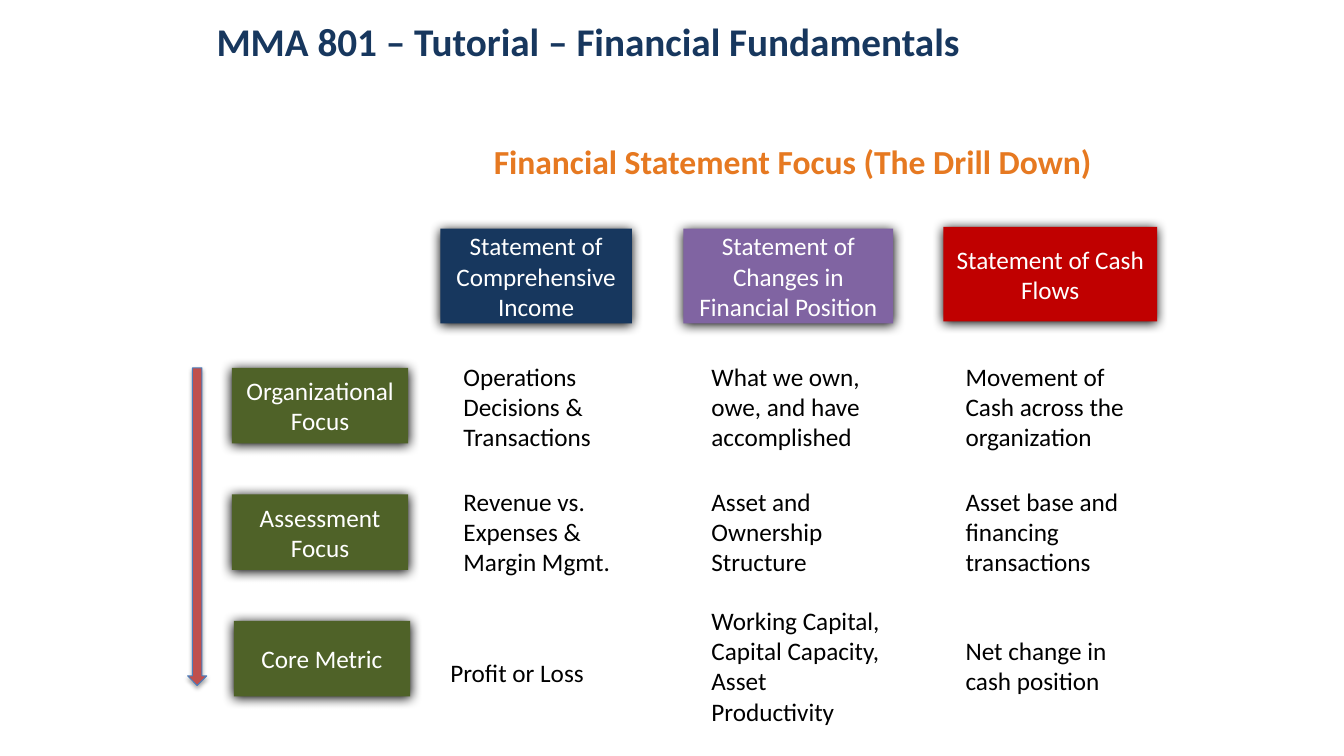
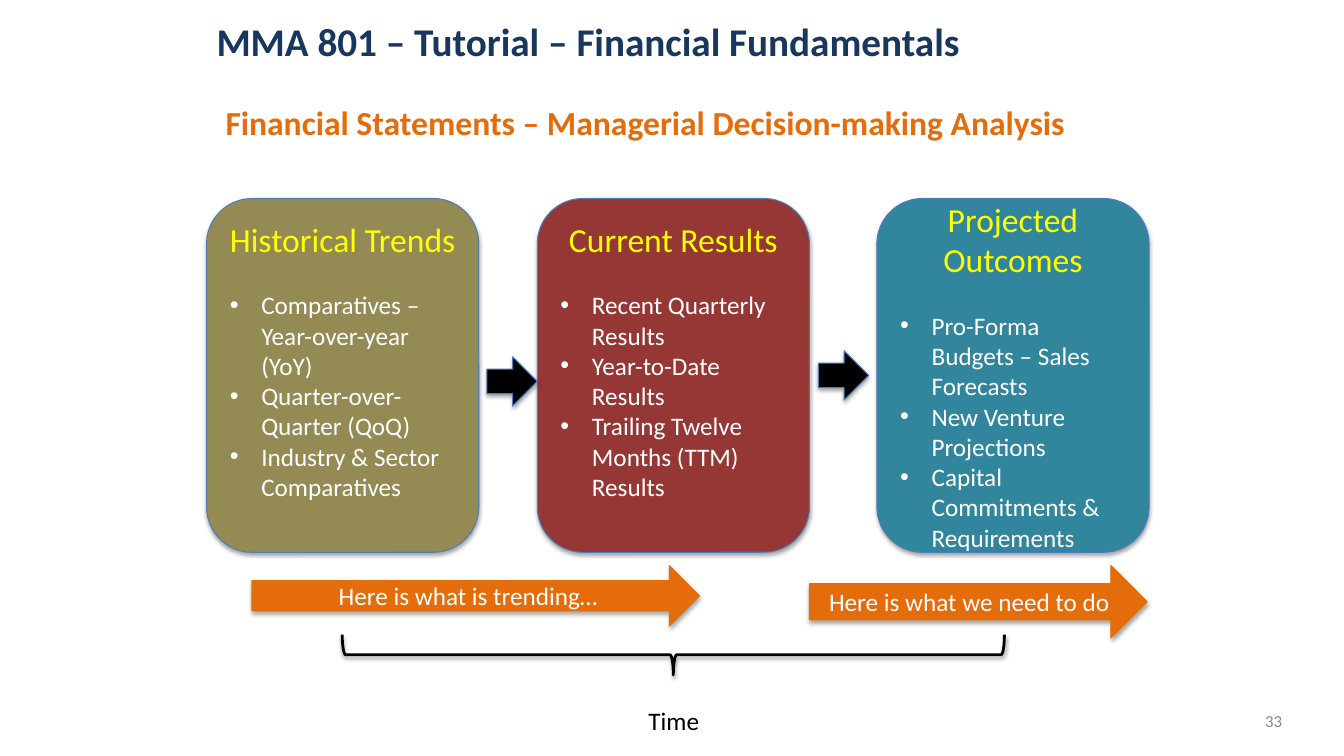
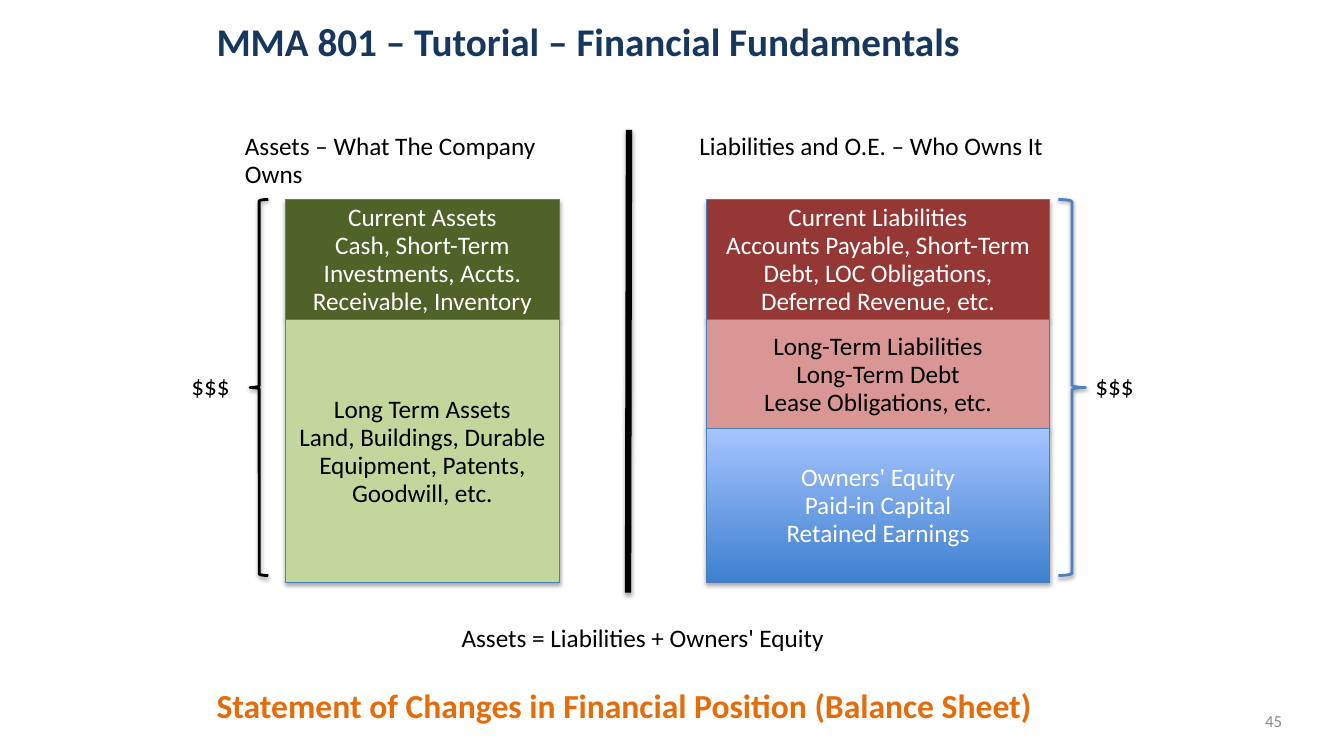
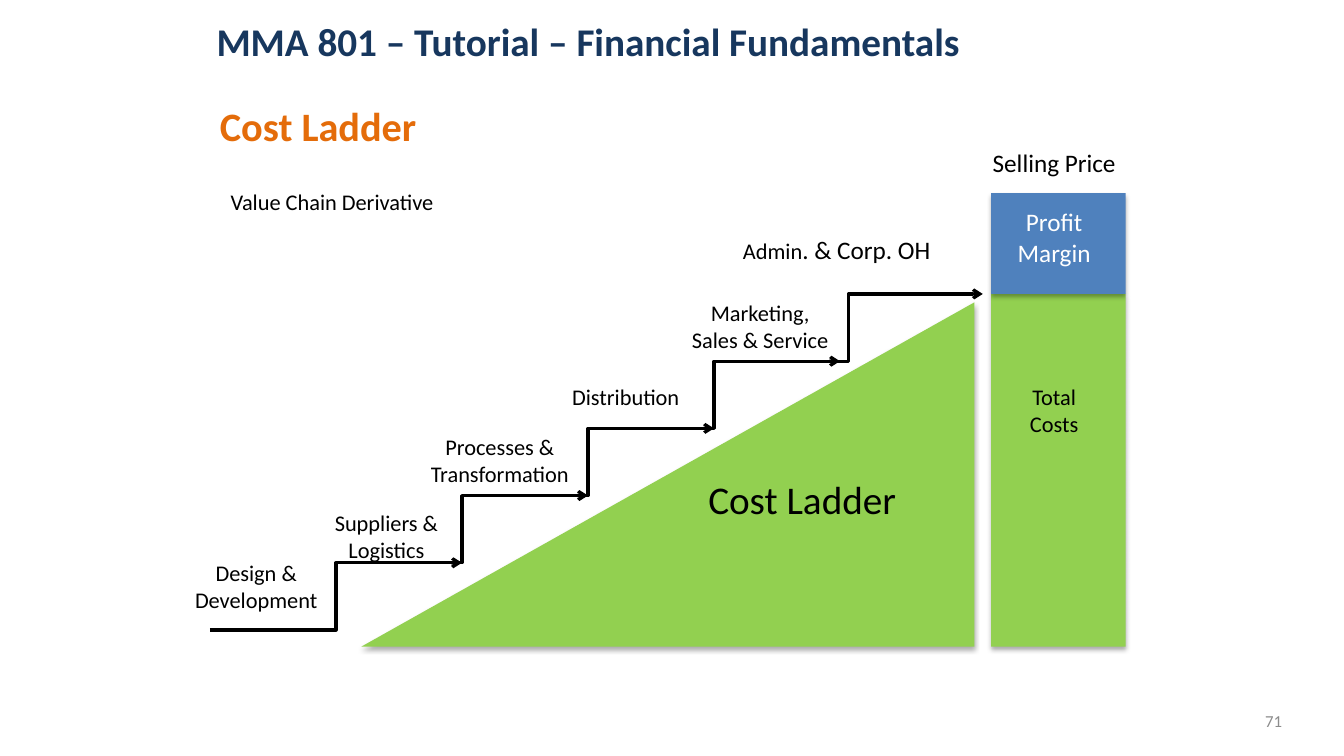
from typing import NamedTuple

from lxml.etree import SubElement
from pptx import Presentation
from pptx.dml.color import RGBColor
from pptx.enum.shapes import MSO_CONNECTOR, MSO_SHAPE
from pptx.enum.text import MSO_ANCHOR, PP_ALIGN
from pptx.oxml.ns import qn
from pptx.util import Pt

FONT = "Calibri"
NAVY = RGBColor(0x17, 0x37, 0x5E)
AMBER = RGBColor(0xE6, 0x79, 0x21)
ORANGE = RGBColor(0xE4, 0x6C, 0x0A)
PURPLE = RGBColor(0x80, 0x64, 0xA2)
RED = RGBColor(0xC0, 0x00, 0x00)
CORAL = RGBColor(0xC0, 0x50, 0x4D)
MAROON = RGBColor(0x95, 0x37, 0x35)
ROSE = RGBColor(0xD9, 0x96, 0x94)
OLIVE = RGBColor(0x4F, 0x62, 0x28)
SAGE = RGBColor(0xC3, 0xD6, 0x9B)
LIME = RGBColor(0x92, 0xD0, 0x50)
KHAKI = RGBColor(0x94, 0x8A, 0x54)
TEAL = RGBColor(0x31, 0x85, 0x9C)
BLUE = RGBColor(0x4F, 0x81, 0xBD)
EDGE = RGBColor(0x4B, 0x7E, 0xBC)
DEEP_SKY = RGBColor(0x3F, 0x80, 0xCE)
PALE_SKY = RGBColor(0xA4, 0xC4, 0xFF)
YELLOW = RGBColor(0xFF, 0xFF, 0x00)
GRAY = RGBColor(0x8C, 0x8C, 0x8C)
BLACK = RGBColor(0, 0, 0)
WHITE = RGBColor(0xFF, 0xFF, 0xFF)


class Shadow(NamedTuple):
    opacity: int
    blur: float
    distance: float


GLOW = Shadow(100, 8.5, 1)
SOFT = Shadow(35, 3.1, 1.8)
THIN = Shadow(38, 3.1, 1.6)
DROP = Shadow(32, 3.5, 2.2)


class Box(NamedTuple):
    left: float
    top: float
    width: float
    height: float

    def inner(self, dx, dy, width, height):
        return Box(self.left + dx, self.top + dy, width, height)

    def lengths(self):
        return [Pt(value) for value in self]


def cast_shadow(effects, shadow):
    outer = SubElement(effects, qn("a:outerShdw"), blurRad=str(Pt(shadow.blur)),
                       dist=str(Pt(shadow.distance)), dir="5400000", rotWithShape="0")
    tint = SubElement(outer, qn("a:srgbClr"), val="000000")
    SubElement(tint, qn("a:alpha"), val=str(shadow.opacity * 1000))


def write(frame, text, size=18, color=BLACK, bold=False, align=PP_ALIGN.LEFT,
          leading=None, before=0, bullet=False, same_line=False):
    frame.word_wrap = True
    for line in text.split("\n"):
        paragraph = frame.paragraphs[-1]
        if paragraph.runs and not same_line:
            paragraph = frame.add_paragraph()
        if bullet:
            properties = paragraph._p.get_or_add_pPr()
            properties.set("marL", str(Pt(22.5)))
            properties.set("indent", str(-Pt(22.5)))
            SubElement(properties, qn("a:buFont"), typeface="Arial")
            SubElement(properties, qn("a:buChar"), char="•")
        paragraph.alignment = align
        if leading:
            paragraph.line_spacing = Pt(leading)
        if before:
            paragraph.space_before = Pt(before)
            before = 0
        run = paragraph.add_run()
        run.text = line
        run.font.name = FONT
        run.font.size = Pt(size)
        run.font.bold = bold
        run.font.color.rgb = color


def label(slide, box, text, anchor=MSO_ANCHOR.TOP, **style):
    frame = slide.shapes.add_textbox(*box.lengths()).text_frame
    frame.vertical_anchor = anchor
    write(frame, text, **style)
    return frame


def block(slide, box, fill, text="", kind=MSO_SHAPE.RECTANGLE, edge=EDGE,
          weight=0.75, shadow=SOFT, color=WHITE, **style):
    shape = slide.shapes.add_shape(kind, *box.lengths())
    if fill is None:
        shape.fill.background()
    elif isinstance(fill, RGBColor):
        shape.fill.solid()
        shape.fill.fore_color.rgb = fill
    else:
        shape.fill.gradient()
        shape.fill.gradient_angle = 90
        for stop, tone in zip(shape.fill.gradient_stops, fill):
            stop.color.rgb = tone
    if edge is None:
        shape.line.fill.background()
    else:
        shape.line.color.rgb = edge
        shape.line.width = Pt(weight)
    shape.shadow.inherit = False
    cast_shadow(shape._element.spPr.find(qn("a:effectLst")), shadow)
    if text:
        shape.text_frame.vertical_anchor = MSO_ANCHOR.MIDDLE
        write(shape.text_frame, text, color=color, align=PP_ALIGN.CENTER, **style)
    return shape


def brace(slide, box, kind, edge=BLACK):
    return block(slide, box, None, kind=kind, edge=edge, weight=2, shadow=THIN)


def connect(slide, kind, start, end, weight, arrow=False, shadow=None):
    link = slide.shapes.add_connector(kind, *[Pt(value) for value in start + end])
    link.line.color.rgb = BLACK
    link.line.width = Pt(weight)
    if arrow:
        SubElement(link.line._get_or_add_ln(), qn("a:tailEnd"), type="arrow")
    effects = SubElement(link._element.spPr, qn("a:effectLst"))
    if shadow:
        cast_shadow(effects, shadow)


def new_slide(deck, number=None):
    slide = deck.slides.add_slide(deck.slide_layouts[6])
    label(slide, Box(147.6, 3.6, 590, 51), "MMA 801 – Tutorial – Financial Fundamentals",
          anchor=MSO_ANCHOR.MIDDLE, size=28, color=NAVY, bold=True)
    if number:
        label(slide, Box(707, 500.4, 216, 28.8), str(number), anchor=MSO_ANCHOR.MIDDLE,
              size=12, color=GRAY, align=PP_ALIGN.RIGHT)
    return slide


def heading(slide, box, text, size=24, color=ORANGE, **style):
    label(slide, box, text, size=size, color=color, bold=True, **style)


def statement_matrix(slide, box):
    statements = [
        (180.6, 1.4, 136.8, NAVY, "Statement of Comprehensive Income"),
        (354.2, 1.4, 149.8, PURPLE, "Statement of Changes in Financial Position"),
        (539.9, 0, 152.6, RED, "Statement of Cash Flows"),
    ]
    for dx, dy, width, fill, text in statements:
        block(slide, box.inner(dx, dy, width, 67.7), fill, text, edge=None, shadow=GLOW)

    rows = [
        (31.6, 128.3, "Organizational Focus",
         ["Operations Decisions & Transactions", "What we own, owe, and have accomplished",
          "Movement of Cash across the organization"]),
        (31.6, 217.8, "Assessment Focus",
         ["Revenue vs. Expenses & Margin Mgmt.", "Asset and Ownership Structure",
          "Asset base and financing transactions"]),
        (33, 313.6, "Core Metric",
         [None, "Working Capital, Capital Capacity, Asset Productivity",
          "Net change in cash position"]),
    ]
    for index, (dx, middle, focus, answers) in enumerate(rows):
        block(slide, box.inner(dx, 100.8 + 90.3 * index, 126, 54), OLIVE, focus,
              edge=None, shadow=GLOW)
        for column, answer in zip((190, 367.1, 548.6), answers):
            if answer:
                label(slide, box.inner(column, middle - 47, 136.8, 94), answer,
                      anchor=MSO_ANCHOR.MIDDLE)
    label(slide, box.inner(180.6, 303.8, 136.8, 29), "Profit or Loss")
    block(slide, box.inner(0, 100.8, 13.7, 226.8), CORAL, kind=MSO_SHAPE.DOWN_ARROW)


def period_cards(slide, box):
    blank_line = 22
    periods = [
        (0, KHAKI, "Historical Trends", blank_line,
         "Comparatives – Year-over-year (YoY)\nQuarter-over-Quarter (QoQ)\n"
         "Industry & Sector Comparatives"),
        (236.2, MAROON, "Current Results", blank_line,
         "Recent Quarterly Results\nYear-to-Date Results\nTrailing Twelve Months (TTM) Results"),
        (478.8, TEAL, "Projected Outcomes", 0,
         "Pro-Forma Budgets – Sales Forecasts\nNew Venture Projections\n"
         "Capital Commitments & Requirements"),
    ]
    for dx, fill, title, spare, points in periods:
        card = block(slide, box.inner(dx, 0, 194.4, box.height), fill, title,
                     kind=MSO_SHAPE.ROUNDED_RECTANGLE, size=24, color=YELLOW)
        card.text_frame.margin_bottom = Pt(3.6 + spare)
        write(card.text_frame, points, color=WHITE, bullet=True, before=blank_line)
    for dx, dy in ((200.2, 113), (437, 108.7)):
        block(slide, box.inner(dx, dy, 36, 35.3), BLACK, kind=MSO_SHAPE.RIGHT_ARROW)


def time_axis(slide, box):
    messages = [
        (32.4, 319.7, 43.2, "Here is what is trending…"),
        (430.6, 241.2, 51.8, "Here is what we need to do"),
    ]
    for dx, width, height, text in messages:
        block(slide, box.inner(dx, 0, width, height), ORANGE, text,
              kind=MSO_SHAPE.RIGHT_ARROW, edge=ORANGE)
    span = brace(slide, box.inner(319, -172.8, 28.8, 473), MSO_SHAPE.LEFT_BRACE)
    span.rotation = 270
    label(slide, box.inner(266.4, 96.5, 134.6, 28.8), "Time", align=PP_ALIGN.CENTER)


def balance_side(slide, box, entries):
    top = 0
    for height, fill, color, text in entries:
        block(slide, box.inner(0, top, box.width, height), fill, text, color=color, leading=20)
        top += height


def balance_sheet(slide, box):
    balance_side(slide, box.inner(74.2, 51.1, 195.8, 273.6), [
        (85.8, OLIVE, WHITE,
         "Current Assets\nCash, Short-Term Investments, Accts. Receivable, Inventory"),
        (187.8, SAGE, BLACK,
         "Long Term Assets\nLand, Buildings, Durable Equipment, Patents, Goodwill, etc."),
    ])
    balance_side(slide, box.inner(375.2, 51.1, 244.8, 273.6), [
        (85.8, MAROON, WHITE,
         "Current Liabilities\nAccounts Payable, Short-Term Debt, LOC Obligations, "
         "Deferred Revenue, etc."),
        (77.8, ROSE, BLACK,
         "Long-Term Liabilities\nLong-Term Debt\nLease Obligations, etc."),
        (110, (DEEP_SKY, PALE_SKY), WHITE,
         "Owners' Equity\nPaid-in Capital\nRetained Earnings"),
    ])
    captions = [
        (38.2, 0, 262, "Assets – What The Company Owns"),
        (362.9, 0, 262, "Liabilities and O.E. – Who Owns It"),
        (0, 171.4, 47.5, "$$$"),
        (645.8, 171.4, 47.5, "$$$"),
        (193, 351.4, 355.7, "Assets = Liabilities + Owners' Equity"),
    ]
    for dx, dy, width, text in captions:
        label(slide, box.inner(dx, dy, width, 27.4), text, leading=20)
    brace(slide, box.inner(49, 51.1, 13, 268.6), MSO_SHAPE.LEFT_BRACE)
    brace(slide, box.inner(626.4, 51.1, 19.4, 268.6), MSO_SHAPE.RIGHT_BRACE, BLUE)
    connect(slide, MSO_CONNECTOR.STRAIGHT, (box.left + 319.7, box.top + 1.4),
            (box.left + 319, box.top + 332), 4.5, shadow=THIN)


def cost_ladder(slide, box):
    run, rise, steps = 90, 48, 5
    for step in range(steps):
        x = box.left + run * step
        y = box.top + box.height - rise * step
        end = box.left + box.width if step == steps - 1 else x + 2 * run
        connect(slide, MSO_CONNECTOR.ELBOW, (x, y), (end, y - rise), 2.25, arrow=True)
    stages = [
        (-30, 186, 126, "Design & Development"),
        (78, 150, 96, "Suppliers & Logistics"),
        (144, 96, 126, "Processes & Transformation"),
        (240, 60, 114, "Distribution"),
        (336, 0, 114, "Marketing, Sales & Service"),
    ]
    for dx, dy, width, text in stages:
        label(slide, box.inner(dx, dy, width, 46), text, size=16, align=PP_ALIGN.CENTER)
    overhead = label(slide, box.inner(367, -46, 161.3, 29), "Admin", size=16,
                     align=PP_ALIGN.CENTER)
    write(overhead, ". & Corp. OH", align=PP_ALIGN.CENTER, same_line=True)
    wedge = block(slide, box.inner(108, 6, 438, 246), LIME, kind=MSO_SHAPE.RIGHT_TRIANGLE,
                  edge=None, shadow=DROP)
    wedge._element.spPr.find(qn("a:xfrm")).set("flipH", "1")
    label(slide, box.inner(336, 126, 174, 63), "Cost Ladder", size=28, align=PP_ALIGN.CENTER)


def price_column(slide, box):
    label(slide, box.inner(-6, -36, 114, 29), "Selling Price")
    block(slide, box.inner(0, 72, box.width, box.height - 72), LIME, edge=None, shadow=DROP)
    block(slide, box.inner(0, 0, box.width, 72), BLUE, edge=None, shadow=DROP)
    label(slide, box.inner(6, 6, 78, 51), "Profit Margin", color=WHITE, align=PP_ALIGN.CENTER)
    label(slide, box.inner(12, 132, 66, 46), "Total Costs", size=16, align=PP_ALIGN.CENTER)


def main():
    deck = Presentation()
    deck.slide_width, deck.slide_height = Pt(960), Pt(540)

    slide = new_slide(deck)
    heading(slide, Box(345.6, 97.2, 461.5, 36), "Financial Statement Focus (The Drill Down)",
            color=AMBER)
    statement_matrix(slide, Box(134, 162, 692.5, 360))

    slide = new_slide(deck, 33)
    heading(slide, Box(154, 69, 635, 36),
            "Financial Statements – Managerial Decision-making Analysis")
    period_cards(slide, Box(147.6, 141.8, 673.2, 252.7))
    time_axis(slide, Box(147.6, 404, 673.2, 125))

    slide = new_slide(deck, 45)
    balance_sheet(slide, Box(129.6, 91.4, 693.3, 380))
    heading(slide, Box(147.6, 486, 665.3, 41.8),
            "Statement of Changes in Financial Position (Balance Sheet)")

    slide = new_slide(deck, 71)
    heading(slide, Box(150, 72, 590, 35.3), "Cost Ladder", size=28.8,
            anchor=MSO_ANCHOR.MIDDLE)
    label(slide, Box(157.7, 131, 208.8, 26.6), "Value Chain Derivative", size=16)
    cost_ladder(slide, Box(150, 210, 552, 240))
    price_column(slide, Box(708, 138, 96, 324))

    deck.save("out.pptx")


if __name__ == "__main__":
    main()
